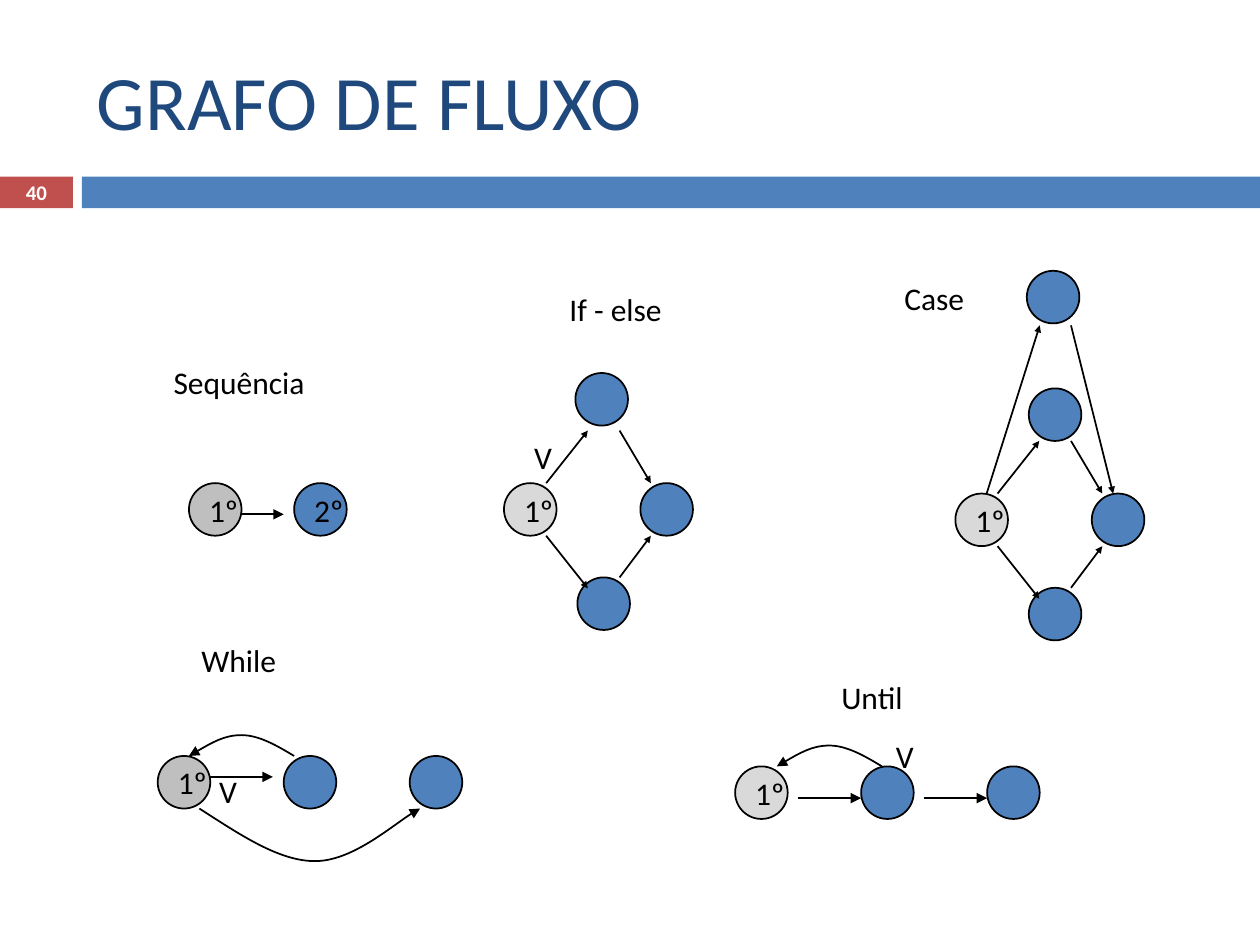
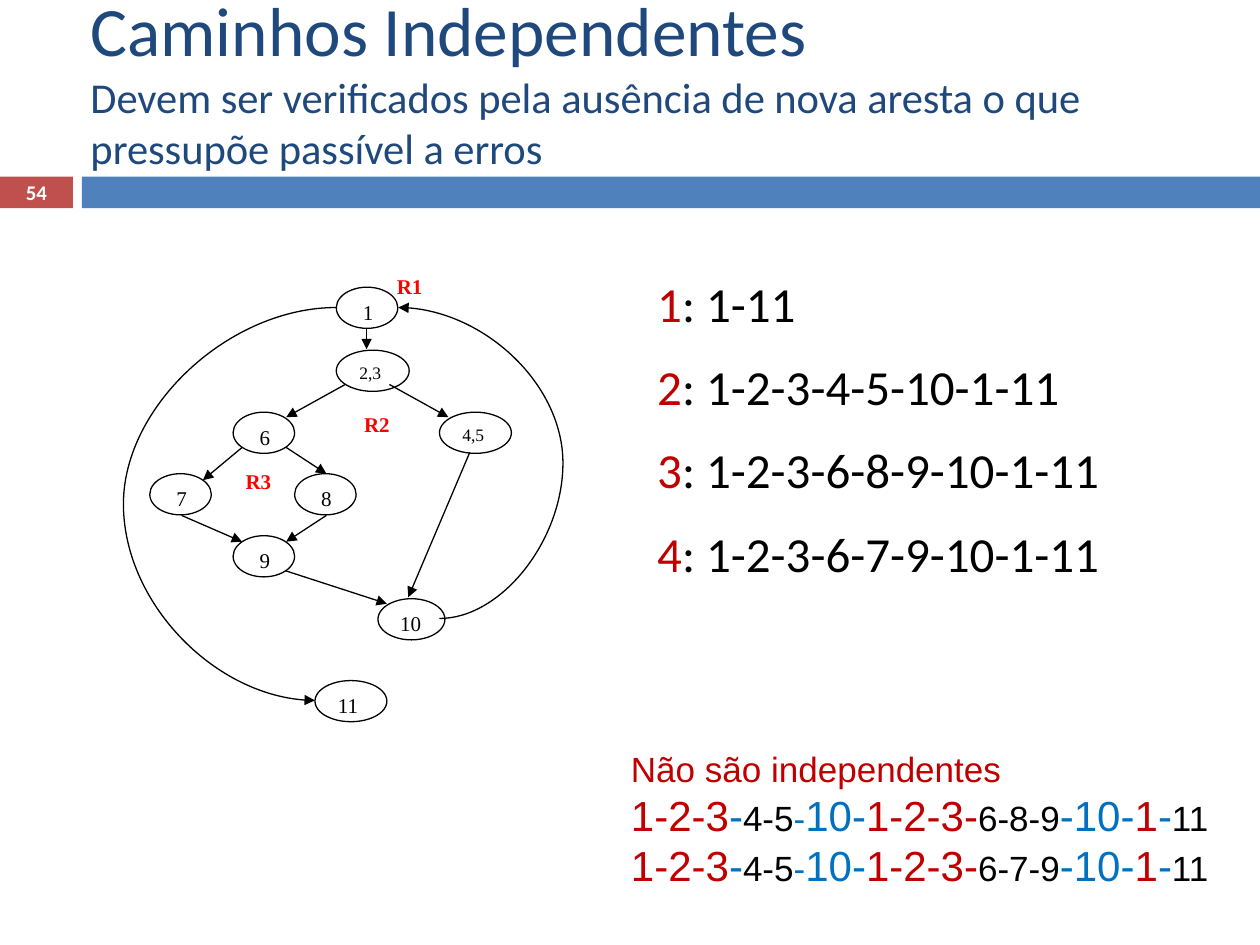
from lxml.etree import SubElement
from pptx import Presentation
from pptx.dml.color import RGBColor
from pptx.enum.shapes import MSO_CONNECTOR as Wire, MSO_SHAPE as Preset
from pptx.enum.text import MSO_ANCHOR as Anchor, MSO_AUTO_SIZE as AutoSize, PP_ALIGN as Align
from pptx.oxml.ns import qn
from pptx.util import Cm, Pt

BLACK = RGBColor(0x00, 0x00, 0x00)
WHITE = RGBColor(0xFF, 0xFF, 0xFF)
NAVY = RGBColor(0x1F, 0x49, 0x7D)
BLUE = RGBColor(0x4F, 0x81, 0xBD)
BRICK = RGBColor(0xC0, 0x50, 0x4D)
GRAY = RGBColor(0xBF, 0xBF, 0xBF)
LIGHT_GRAY = RGBColor(0xD9, 0xD9, 0xD9)
DARK_RED = RGBColor(0xC0, 0x00, 0x00)
RED = RGBColor(0xFF, 0x00, 0x00)
SKY = RGBColor(0x00, 0x70, 0xC0)
SERIF = "Times New Roman"
TITLE_ONLY = 5
CIRCLE = 1.06


def write(para, text, size=18, color=BLACK, font="Calibri", bold=False):
    span = para.add_run()
    span.text = text
    span.font.size = Pt(size)
    span.font.color.rgb = color
    span.font.name = font
    span.font.bold = bold


def add_arrowhead(shape, end="tail", size="med"):
    line = shape.element.spPr.find(qn("a:ln"))
    SubElement(line, qn(f"a:{end}End"), type="triangle", w=size, len=size)


class FlowDeck:
    def __init__(self):
        self.deck = Presentation()
        self.deck.slide_width, self.deck.slide_height = Cm(25.4), Cm(19.05)
        self.layout = self.deck.slide_layouts[TITLE_ONLY]
        self.page = None
        self.line_width = 1

    def open_page(self, number, title_box, line_width):
        """Start a slide and return its formatted, still empty title frame."""
        first = self.page is None
        self.page = self.deck.slides.add_slide(self.layout)
        self.line_width = line_width
        if first:
            self.add_bands_to_layout()
        frame = self.text(0, 3.53, 1.47, 0.69)
        frame.margin_left = frame.margin_right = frame.margin_top = frame.margin_bottom = 0
        frame.vertical_anchor = Anchor.MIDDLE
        frame.paragraphs[0].alignment = Align.CENTER
        write(frame.paragraphs[0], number, size=11.9, color=WHITE, bold=True)

        title = self.page.shapes.title
        title.left, title.top, title.width, title.height = map(Cm, title_box)
        frame = title.text_frame
        frame.auto_size = AutoSize.NONE
        frame.vertical_anchor = Anchor.MIDDLE
        frame.paragraphs[0].alignment = Align.LEFT
        return frame

    def add_bands_to_layout(self):
        for left, width, color in ((0, 1.47, BRICK), (1.65, 23.75, BLUE)):
            band = self.shape(Preset.RECTANGLE, left, 3.56, width, 0.64, color)
            band.line.fill.background()
            self.layout.shapes.element.append(band.element)

    def shape(self, preset, left, top, width, height, fill):
        box = self.page.shapes.add_shape(preset, Cm(left), Cm(top), Cm(width), Cm(height))
        box.shadow.inherit = False
        box.fill.solid()
        box.fill.fore_color.rgb = fill
        self.outline(box)
        return box

    def outline(self, shape):
        shape.line.color.rgb = BLACK
        shape.line.width = Pt(self.line_width)

    def node(self, left, top, text="", fill=BLUE, width=CIRCLE, height=CIRCLE,
             anchor=Anchor.MIDDLE, wrap=False, **style):
        ellipse = self.shape(Preset.OVAL, left, top, width, height, fill)
        if text:
            frame = ellipse.text_frame
            frame.word_wrap = wrap
            frame.vertical_anchor = anchor
            frame.paragraphs[0].alignment = Align.LEFT
            write(frame.paragraphs[0], text, **style)

    def text(self, left, top, width, height, text="", wrap=True, **style):
        box = self.page.shapes.add_textbox(Cm(left), Cm(top), Cm(width), Cm(height))
        frame = box.text_frame
        frame.word_wrap = wrap
        if text:
            write(frame.paragraphs[0], text, **style)
        return frame

    def arrow(self, x1, y1, x2, y2, head="med", kind=Wire.STRAIGHT):
        wire = self.page.shapes.add_connector(kind, Cm(x1), Cm(y1), Cm(x2), Cm(y2))
        self.outline(wire)
        add_arrowhead(wire, size=head)
        SubElement(wire.element.spPr, qn("a:effectLst"))
        return wire

    def bulging_arrow(self, x1, y1, x2, y2, bulge_x):
        """Curved arrow whose middle runs at bulge_x, outside both ends."""
        wire = self.arrow(x1, y1, x2, y2, kind=Wire.CURVE)
        geometry = wire.element.spPr.find(qn("a:prstGeom"))
        geometry.set("prst", "curvedConnector3")
        for child in list(geometry):
            geometry.remove(child)
        ratio = round((bulge_x - x1) / (x2 - x1) * 100000)
        guides = SubElement(geometry, qn("a:avLst"))
        SubElement(guides, qn("a:gd"), name="adj1", fmla=f"val {ratio}")

    def bezier(self, points, end):
        """Cubic curve: a start, then three points for each segment."""
        start, *rest = [(Cm(x), Cm(y)) for x, y in points]
        builder = self.page.shapes.build_freeform(*start)
        builder.add_line_segments(rest, close=False)
        curve = builder.convert_to_shape()
        curve.shadow.inherit = False
        curve.fill.background()
        self.outline(curve)
        add_arrowhead(curve, end)
        track = curve.element.find(".//" + qn("a:path"))
        lines = track.findall(qn("a:lnTo"))
        for first in range(0, len(lines), 3):
            segment = SubElement(track, qn("a:cubicBezTo"))
            for line in lines[first:first + 3]:
                segment.append(line[0])
                track.remove(line)

    def branch(self, left, top, upper):
        """Diamond of four nodes; upper is the offset of the upper one."""
        self.node(left, top, "1º", LIGHT_GRAY)
        for dx, dy in (upper, (2.75, 0), (1.48, 1.9)):
            self.node(left + dx, top + dy)
        for x1, y1, x2, y2 in ((0.85, 0, 1.69, -1.06), (2.33, -1.06, 2.96, 0),
                               (0.85, 1.06, 1.69, 2.12), (2.33, 1.9, 2.96, 1.06)):
            self.arrow(left + x1, top + y1, left + x2, top + y2, head="sm")

    def chain(self, left, top, fill):
        """Three nodes in a row, with an arrow looping back to the first."""
        self.node(left, top, "1º", fill)
        for step in (1, 2):
            self.node(left + 2.54 * step, top)

    def loop_back(self, left, top):
        arc = ((0, 0), (0.36, -0.21), (0.71, -0.42), (1.06, -0.42),
               (1.41, -0.42), (1.77, -0.21), (2.12, 0))
        self.bezier([(left + dx, top + dy) for dx, dy in arc], "head")


def build_flow_graphs(flow):
    title = flow.open_page("40", (1.7, 0.64, 22.66, 2.74), line_width=1)
    write(title.paragraphs[0], "GRAFO DE FLUXO", size=44, color=NAVY)

    # Sequence
    flow.node(3.81, 9.74, "1º", GRAY)
    flow.node(5.93, 9.74, "2º")
    flow.arrow(4.87, 10.37, 5.72, 10.37)

    # If - else and case
    flow.branch(10.16, 9.74, upper=(1.44, -2.22))
    flow.branch(19.26, 9.95, upper=(1.48, -2.12))
    flow.node(20.7, 5.46)
    flow.arrow(19.89, 9.95, 20.96, 6.56, head="sm")
    flow.arrow(21.59, 6.56, 22.44, 9.95, head="sm")

    # While
    flow.chain(3.18, 15.24, GRAY)
    flow.arrow(4.23, 15.66, 5.5, 15.66)
    flow.loop_back(3.81, 15.24)
    flow.bezier([(4.02, 16.3), (4.83, 16.82), (5.62, 17.36), (6.35, 17.36),
                 (7.09, 17.36), (8.1, 16.48), (8.47, 16.3)], "tail")

    # Until
    flow.chain(14.82, 15.45, LIGHT_GRAY)
    for left in (16.09, 18.63):
        flow.arrow(left, 16.09, left + 1.27, 16.09)
    flow.loop_back(15.66, 15.45)

    for left, top, width, name in (
            (3.25, 7.19, 4.65, "Sequência"), (11.23, 5.72, 3.6, "If - else"),
            (17.98, 5.51, 2.34, "Case"), (3.81, 12.8, 4.88, "While"),
            (16.71, 13.54, 3.81, "Until")):
        flow.text(left, top, width, 1.02, name)
    for left, top in ((10.52, 8.71), (17.81, 14.73), (4.17, 15.44)):
        flow.text(left, top, 0.89, 1.02, "V", wrap=False)


def build_independent_paths(flow):
    title = flow.open_page("54", (1.57, 0.76, 23.8, 2.74), line_width=0.75)
    title.margin_bottom = Cm(1.16)
    heading = title.paragraphs[0]
    write(heading, "Caminhos Independentes", size=39.6, color=NAVY)
    heading.add_line_break()
    write(heading, "Devem ser verificados pela ausência de nova aresta o que "
          "pressupõe passível a erros", size=24.3, color=NAVY)

    routes = ("1-11", "1-2-3-4-5-10-1-11", "1-2-3-6-8-9-10-1-11", "1-2-3-6-7-9-10-1-11")
    frame = flow.text(13, 5.38, 11.2, 6.83)
    for number, route in enumerate(routes, 1):
        para = frame.paragraphs[0] if number == 1 else frame.add_paragraph()
        if number > 1:
            para.space_before = Pt(14)
        write(para, str(number), size=28, color=DARK_RED)
        write(para, f": {route}", size=28)

    for text, left, top, width, size in (
            (" 1", 6.78, 5.79, 1.24, 12), ("2,3", 6.78, 7.06, 1.47, 10),
            ("4,5", 8.86, 8.31, 1.45, 10), (" 6", 4.7, 8.31, 1.24, 12),
            (" 7", 3.02, 9.55, 1.24, 12), (" 8", 5.94, 9.55, 1.24, 12),
            (" 9", 4.7, 10.8, 1.24, 12), ("10", 7.62, 12.07, 1.35, 12),
            ("11", 6.35, 13.72, 1.45, 12)):
        flow.node(left, top, text, WHITE, width, 0.83, Anchor.TOP, wrap=True,
                  size=size, font=SERIF)
    for ends in ((7.39, 6.63, 7.39, 7.04), (6.96, 7.75, 5.77, 8.41),
                 (7.85, 7.75, 9.04, 8.41), (4.88, 9.02, 4.09, 9.68),
                 (5.77, 9.02, 6.58, 9.55), (3.66, 10.39, 4.88, 10.92),
                 (6.58, 10.39, 5.77, 10.92), (9.47, 9.12, 8.23, 12.04),
                 (5.77, 11.51, 7.8, 12.17)):
        flow.arrow(*ends)
    flow.bulging_arrow(8.86, 12.47, 8.03, 6.2, bulge_x=11.35)
    flow.bulging_arrow(6.78, 6.2, 6.35, 14.12, bulge_x=2.49)
    for region, left, top in (("R1", 7.75, 5.38), ("R3", 4.7, 9.32), ("R2", 7.09, 8.18)):
        flow.text(left, top, 1.6, 1.6, region, size=12, color=RED, font=SERIF, bold=True)

    frame = flow.text(12.47, 14.94, 12.9, 4.01, "Não são independentes",
                      size=20, color=DARK_RED, font="Arial")
    for middle in ("6-8-9", "6-7-9"):
        para = frame.add_paragraph()
        for text, size, color in (
                ("1-2-3", 24, DARK_RED), ("-", 24, SKY), ("4-5", 20, BLACK),
                ("-", 20, SKY), ("10-", 24, SKY), ("1-2-3-", 24, DARK_RED),
                (middle, 20, BLACK), ("-10-", 24, SKY), ("1", 24, DARK_RED),
                ("-", 24, SKY), ("11", 20, BLACK)):
            write(para, text, size=size, color=color, font="Arial")


def main():
    flow = FlowDeck()
    build_flow_graphs(flow)
    build_independent_paths(flow)
    flow.deck.save("out.pptx")


if __name__ == "__main__":
    main()
